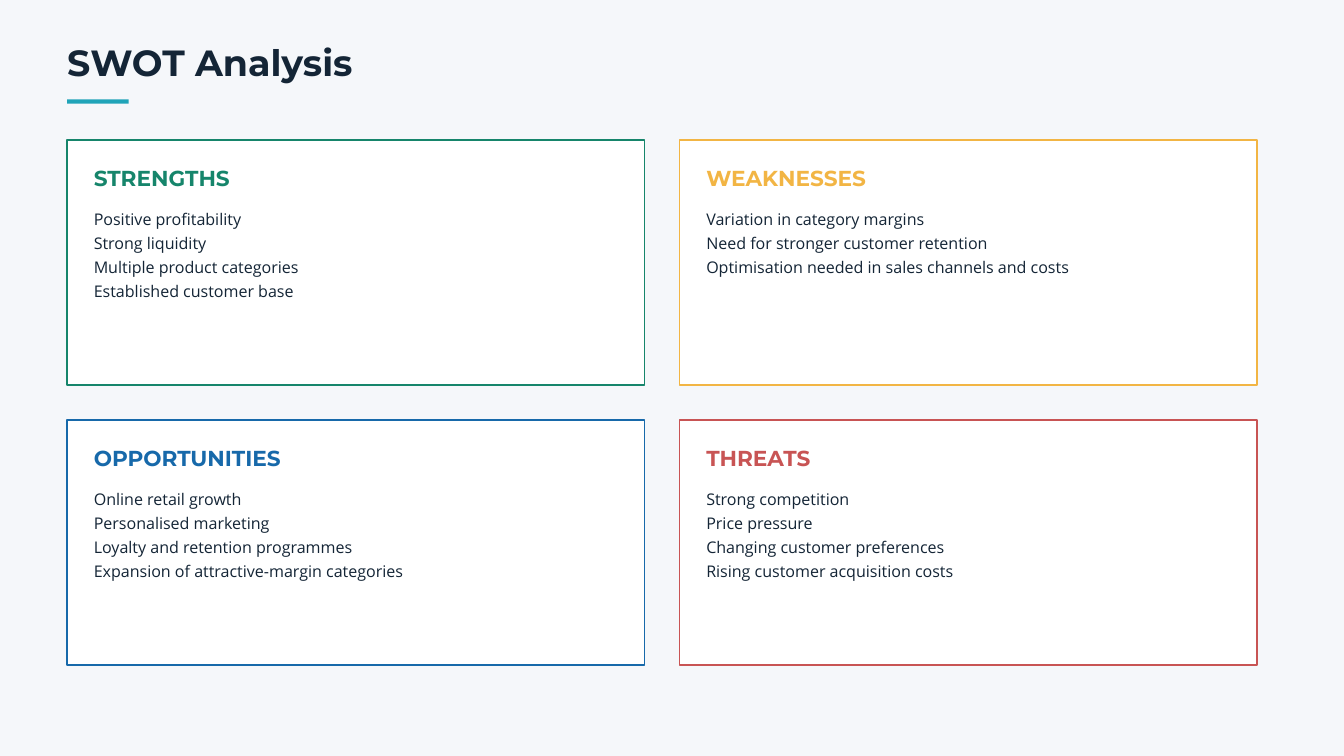
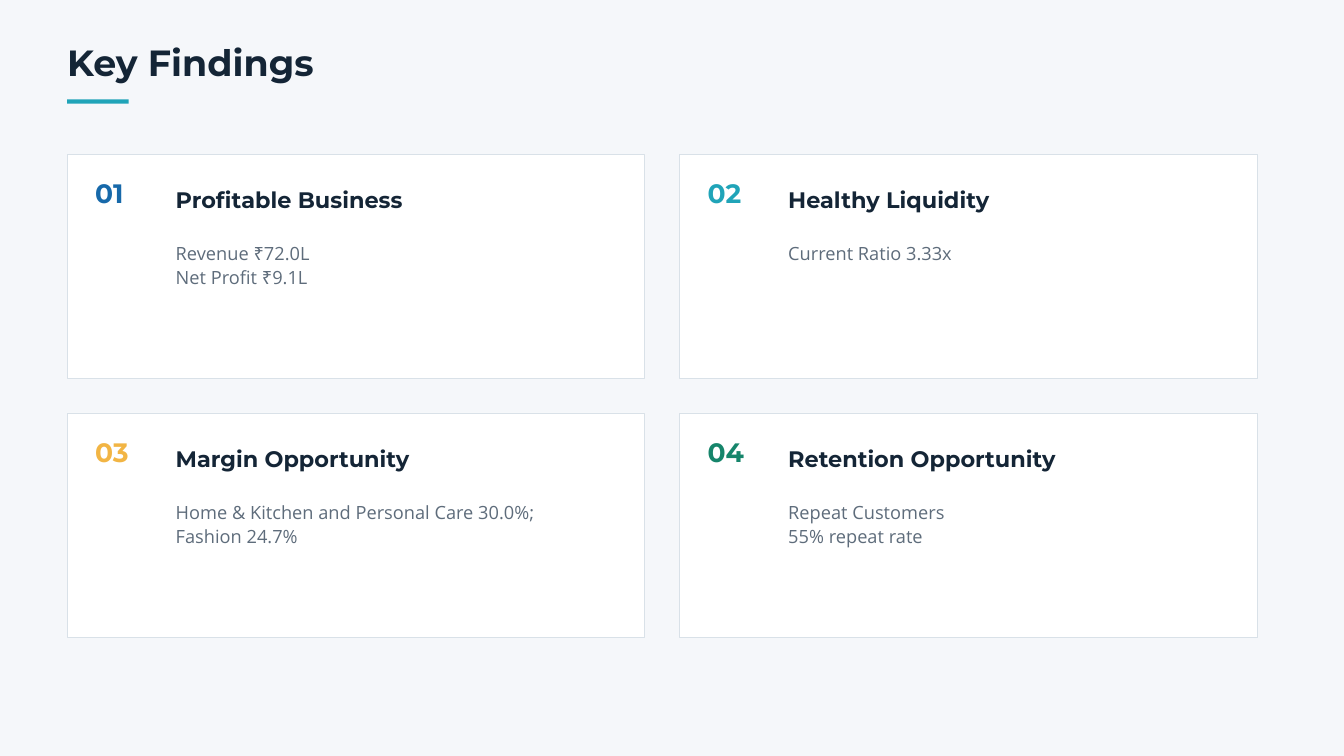
from dataclasses import dataclass
from pptx import Presentation
from pptx.dml.color import RGBColor
from pptx.enum.shapes import MSO_SHAPE
from pptx.enum.text import MSO_ANCHOR, MSO_AUTO_SIZE, PP_ALIGN
from pptx.oxml.ns import qn
from pptx.util import Emu, Pt

PX = 9525  # EMU in one px


# Theme: colours, then type styles as (font, size, bold, line pitch)
@dataclass(frozen=True)
class Theme:
    page: str = "F5F7FA"
    card: str = "FFFFFF"
    edge: str = "D9E1E8"
    ink: str = "142536"
    grey: str = "5E6C7B"
    teal: str = "20A4B8"
    green: str = "16856B"
    gold: str = "F2B544"
    blue: str = "1769AA"
    red: str = "C85454"
    title: tuple = ("Montserrat", 39, True, 42.9)
    label: tuple = ("Montserrat", 23.2, True, 32.5)
    points: tuple = ("Open Sans", 17.2, False, 25.9)
    number: tuple = ("Montserrat", 28.5, True, 29.9)
    head: tuple = ("Montserrat", 24, True, 33.6)
    detail: tuple = ("Open Sans", 19.5, False, 26.3)


theme = Theme()


def write(shape, area, lines, style, color):
    """Place a text shape on top of the slide and fill it with lines."""
    shape._element.getparent().append(shape._element)
    for key, px in zip(("left", "top", "width", "height"), area):
        setattr(shape, key, Emu(px * PX))
    name, size, bold, pitch = style
    frame = shape.text_frame
    frame.text = "\n".join(lines)
    look = dict(margin_left=0, margin_top=0, margin_right=0, margin_bottom=0,
                word_wrap=True, vertical_anchor=MSO_ANCHOR.TOP,
                auto_size=MSO_AUTO_SIZE.SHAPE_TO_FIT_TEXT)
    for key, value in look.items():
        setattr(frame, key, value)
    for para in frame.paragraphs:
        props = para._p.get_or_add_pPr()
        props.set("marL", "0")
        props.set("indent", "0")
        props.append(props.makeelement(qn("a:buNone"), {}))
        flow = dict(alignment=PP_ALIGN.LEFT, line_spacing=Pt(pitch),
                    space_before=Pt(0), space_after=Pt(0))
        for key, value in flow.items():
            setattr(para, key, value)
        font = para.runs[0].font
        for key, value in dict(name=name, size=Pt(size), bold=bold).items():
            setattr(font, key, value)
        font.color.rgb = RGBColor.from_string(color)


def block(slide, area, fill, line=None, weight=0):
    """Draw a plain rectangle, with an outline if a line colour is given."""
    shape = slide.shapes.add_shape(MSO_SHAPE.RECTANGLE, *(Emu(v * PX) for v in area))
    shape.shadow.inherit = False
    shape.fill.solid()
    shape.fill.fore_color.rgb = RGBColor.from_string(fill)
    if line:
        shape.line.color.rgb = RGBColor.from_string(line)
        shape.line.width = Pt(weight)
    else:
        shape.line.fill.background()


# Slide size and shared background
deck = Presentation()
deck.slide_width, deck.slide_height = Emu(1920 * PX), Emu(1080 * PX)
back = deck.slide_master.background.fill
back.solid()
back.fore_color.rgb = RGBColor.from_string(theme.page)
layout = deck.slide_layouts.get_by_name("Comparison")  # title and four bodies

# Shared title and accent bar
slides = []
for title in ("SWOT Analysis", "Key Findings"):
    slide = deck.slides.add_slide(layout)
    write(slide.shapes.title, (96, 62, 1728, 59), [title], theme.title, theme.ink)
    block(slide, (96, 142, 88, 6), theme.teal)
    slides.append(slide)
swot, finds = slides

# Shared card columns
left, wide, step = 96, 825, 875

# SWOT cards: coloured outline, label and list
quads = [
    ("STRENGTHS", theme.green,
     ["Positive profitability", "Strong liquidity",
      "Multiple product categories", "Established customer base"]),
    ("WEAKNESSES", theme.gold,
     ["Variation in category margins", "Need for stronger customer retention",
      "Optimisation needed in sales channels and costs"]),
    ("OPPORTUNITIES", theme.blue,
     ["Online retail growth", "Personalised marketing",
      "Loyalty and retention programmes",
      "Expansion of attractive-margin categories"]),
    ("THREATS", theme.red,
     ["Strong competition", "Price pressure",
      "Changing customer preferences", "Rising customer acquisition costs"]),
]
for i, (label, color, points) in enumerate(quads):
    x, y = left + i % 2 * step, 200 + i // 2 * 400
    block(swot, (x, y, wide, 350), theme.card, color, 1.5)
    box = swot.shapes.add_textbox(0, 0, 0, 0)
    write(box, (x + 38, y + 30, 740, 40), [label], theme.label, color)
    write(swot.placeholders[i + 1], (x + 38, y + 92, 740, 34 * len(points)),
          points, theme.points, theme.ink)

# Finding cards: number, heading and detail
facts = [
    ("Profitable Business", theme.blue, ["Revenue ₹72.0L", "Net Profit ₹9.1L"]),
    ("Healthy Liquidity", theme.teal, ["Current Ratio 3.33x"]),
    ("Margin Opportunity", theme.gold,
     ["Home & Kitchen and Personal Care 30.0%; Fashion 24.7%"]),
    ("Retention Opportunity", theme.green,
     ["Repeat Customers", "55% repeat rate"]),
]
for i, (head, color, detail) in enumerate(facts):
    x, y = left + i % 2 * step, 220 + i // 2 * 370
    block(finds, (x, y, wide, 320), theme.card, theme.edge, 0.75)
    parts = [((x + 40, y + 39, 100, 41), f"{i + 1:02}", theme.number, color),
             ((x + 155, y + 39, 610, 40), head, theme.head, theme.ink)]
    for area, text, style, tint in parts:
        box = finds.shapes.add_textbox(0, 0, 0, 0)
        write(box, area, [text], style, tint)
    write(finds.placeholders[i + 1], (x + 155, y + 122, 610, 69),
          detail, theme.detail, theme.grey)

deck.save("out.pptx")
